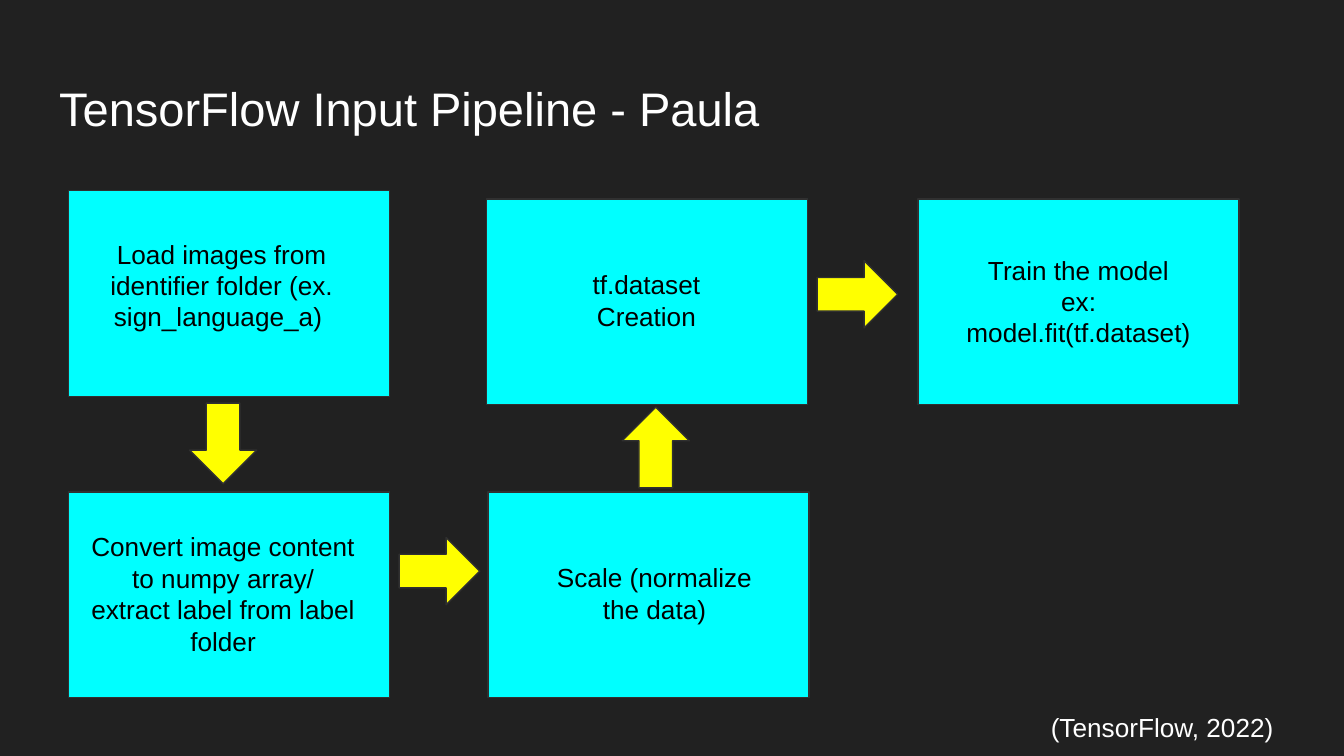
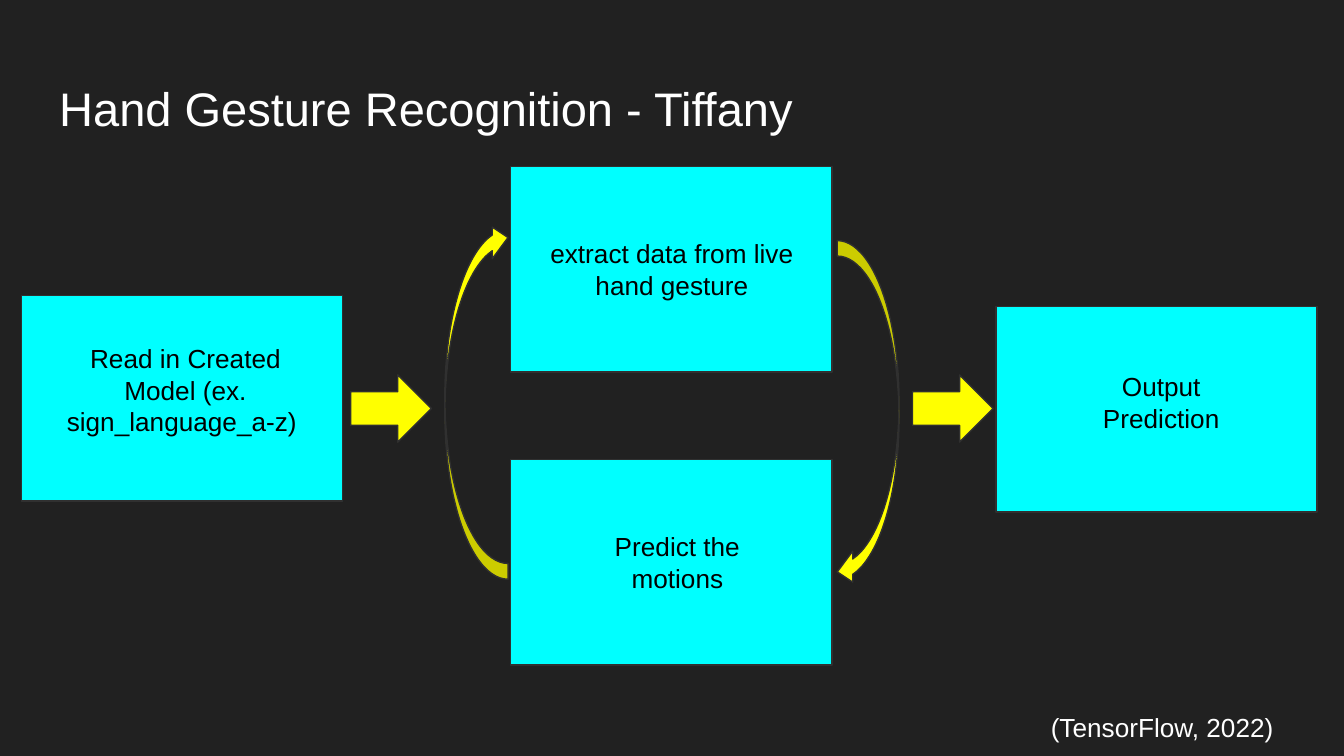
"""Build two dark flow-chart slides: an input pipeline and gesture recognition."""
from pptx import Presentation
from pptx.dml.color import RGBColor
from pptx.enum.shapes import MSO_SHAPE
from pptx.enum.text import MSO_ANCHOR, MSO_AUTO_SIZE, PP_ALIGN
from pptx.util import Emu, Pt

RECTANGLE = MSO_SHAPE.RECTANGLE
STRAIGHT = MSO_SHAPE.RIGHT_ARROW
CURVED = MSO_SHAPE.CURVED_LEFT_ARROW
TOP = MSO_ANCHOR.TOP
NO_FIT, GROW = MSO_AUTO_SIZE.NONE, MSO_AUTO_SIZE.SHAPE_TO_FIT_TEXT
LEFT, CENTER = PP_ALIGN.LEFT, PP_ALIGN.CENTER

EMU_PER_PX = 9144
SLIDE_SIZE = (1000, 562.5)
BACKGROUND, CYAN, YELLOW = "212121", "00FFFF", "FFFF00"
OUTLINE, BLACK, WHITE = "303030", "000000", "FFFFFF"
FONT = "Arial"
INSET = 10
LINE_HEIGHT = 23.5
TITLE_AREA = (34, 49, 932, 63)
CITATION = "(TensorFlow, 2022)"
CITATION_AREA = (772, 519, 228, 44)
STEP_SIZE = (239, 153)
ARROW_SIZE = (60, 50)

# Steps: text, box left and top, label left, top, width and line count.
# Arrows: left, top, rotation. Loops: area, rotation.
SLIDES = [
    {
        "title": "TensorFlow Input Pipeline - Paula",
        "steps": [
            ("Load images from identifier folder (ex. sign_language_a) ",
             (51, 142), (56, 167, 218, 3)),
            ("Convert image content to numpy array/ extract label from label folder",
             (51, 366), (57, 385, 218, 4)),
            ("Scale (normalize the data)", (363, 366), (403, 408, 168, 2)),
            ("tf.dataset Creation", (362, 148), (397, 190, 168, 2)),
            ("Train the model\nex: model.fit(tf.dataset)",
             (683, 148), (705, 179, 195, 3)),
        ],
        "arrows": [(136, 305, 90), (297, 400, 0), (458, 308, 270), (608, 194, 0)],
        "loops": [],
    },
    {
        "title": "Hand Gesture Recognition - Tiffany",
        "steps": [
            ("Read in Created Model (ex. sign_language_a-z) ",
             (16, 220), (29, 245, 218, 3)),
            ("extract data from live hand gesture", (380, 124), (391, 167, 218, 2)),
            ("Predict the motions", (380, 342), (420, 385, 168, 2)),
            ("Output Prediction", (741, 228), (780, 266, 168, 2)),
        ],
        "arrows": [(261, 279, 0), (679, 279, 0)],
        "loops": [((331, 165, 47, 266), 180), ((623, 179, 46, 258), 0)],
    },
]


def px(length):
    """Turn px into EMU."""
    return Emu(round(length * EMU_PER_PX))


def color(hex_code):
    """Turn a hex string into a colour."""
    return RGBColor.from_string(hex_code)


def write(holder, text, *, size=14, ink=BLACK, align=LEFT, fit=GROW):
    """Fill a text holder, one paragraph for each line of text."""
    frame = holder.text_frame
    frame.word_wrap = True
    frame.auto_size = fit
    frame.vertical_anchor = TOP
    frame.margin_left = frame.margin_right = px(INSET)
    frame.margin_top = frame.margin_bottom = px(INSET)
    frame.text = text
    for paragraph in frame.paragraphs:
        paragraph.alignment = align
        for run in paragraph.runs:
            run.font.name = FONT
            run.font.size = Pt(size)
            run.font.color.rgb = color(ink)


def add_text(slide, text, area, **style):
    """Add a text box over an area."""
    write(slide.shapes.add_textbox(*map(px, area)), text, **style)


def add_figure(slide, kind, area, fill, rotation=0):
    """Add an outlined preset shape."""
    figure = slide.shapes.add_shape(kind, *map(px, area))
    figure.rotation = rotation
    figure.shadow.inherit = False
    figure.fill.solid()
    figure.fill.fore_color.rgb = color(fill)
    figure.line.color.rgb = color(OUTLINE)
    figure.line.width = Pt(0.75)


def add_title(slide, text):
    """Place and format the title placeholder."""
    title = slide.shapes.title
    title.left, title.top, title.width, title.height = map(px, TITLE_AREA)
    write(title, text, size=25.2, ink=WHITE, fit=NO_FIT)


def add_flow_slide(deck, content):
    """Add one slide with its title, steps, arrows and citation."""
    slide = deck.slides.add_slide(deck.slide_layouts.get_by_name("Title Only"))
    add_title(slide, content["title"])
    for label, corner, (left, top, width, lines) in content["steps"]:
        add_figure(slide, RECTANGLE, corner + STEP_SIZE, CYAN)
        height = 2 * INSET + round(lines * LINE_HEIGHT)
        add_text(slide, label, (left, top, width, height), align=CENTER)
    for left, top, rotation in content["arrows"]:
        add_figure(slide, STRAIGHT, (left, top) + ARROW_SIZE, YELLOW, rotation)
    for area, rotation in content["loops"]:
        add_figure(slide, CURVED, area, YELLOW, rotation)
    add_text(slide, CITATION, CITATION_AREA, ink=WHITE)


def main():
    """Build and save the deck."""
    deck = Presentation()
    deck.slide_width, deck.slide_height = map(px, SLIDE_SIZE)
    backdrop = deck.slide_master.background.fill
    backdrop.solid()
    backdrop.fore_color.rgb = color(BACKGROUND)
    for content in SLIDES:
        add_flow_slide(deck, content)
    deck.save("out.pptx")


if __name__ == "__main__":
    main()
